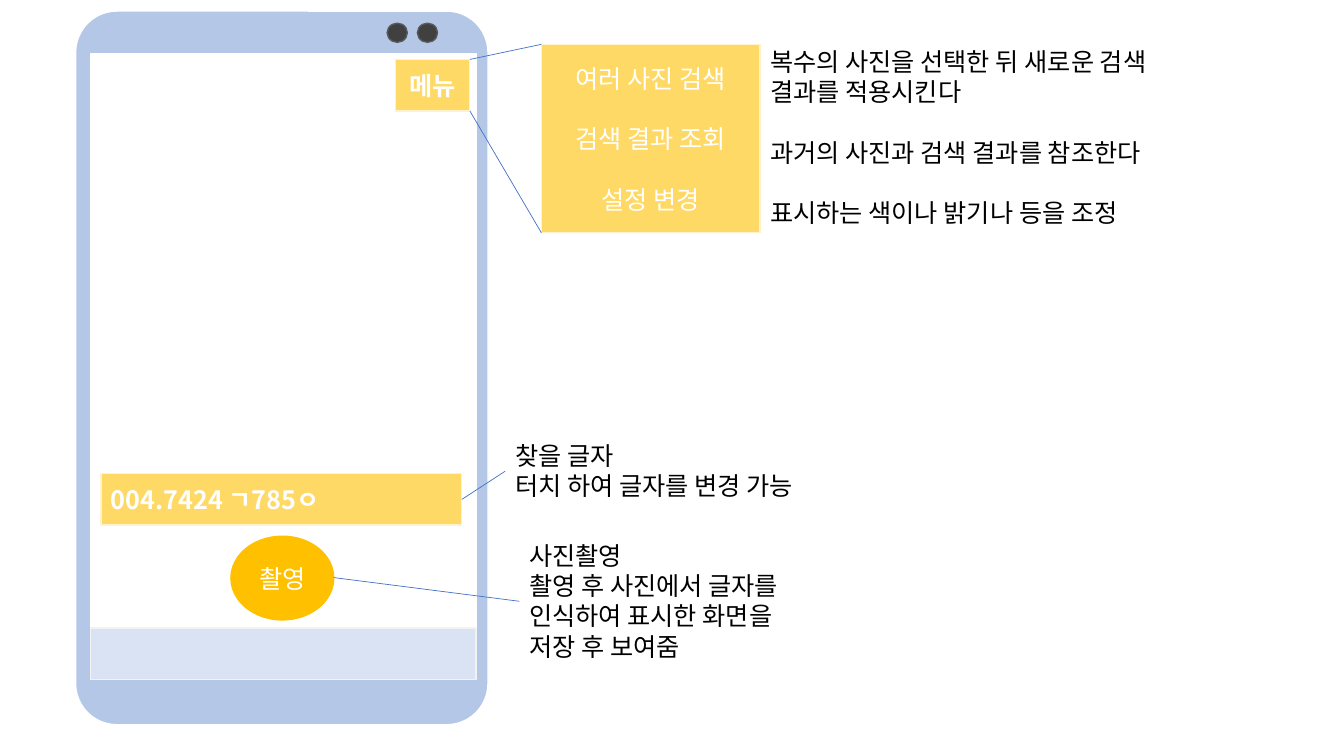
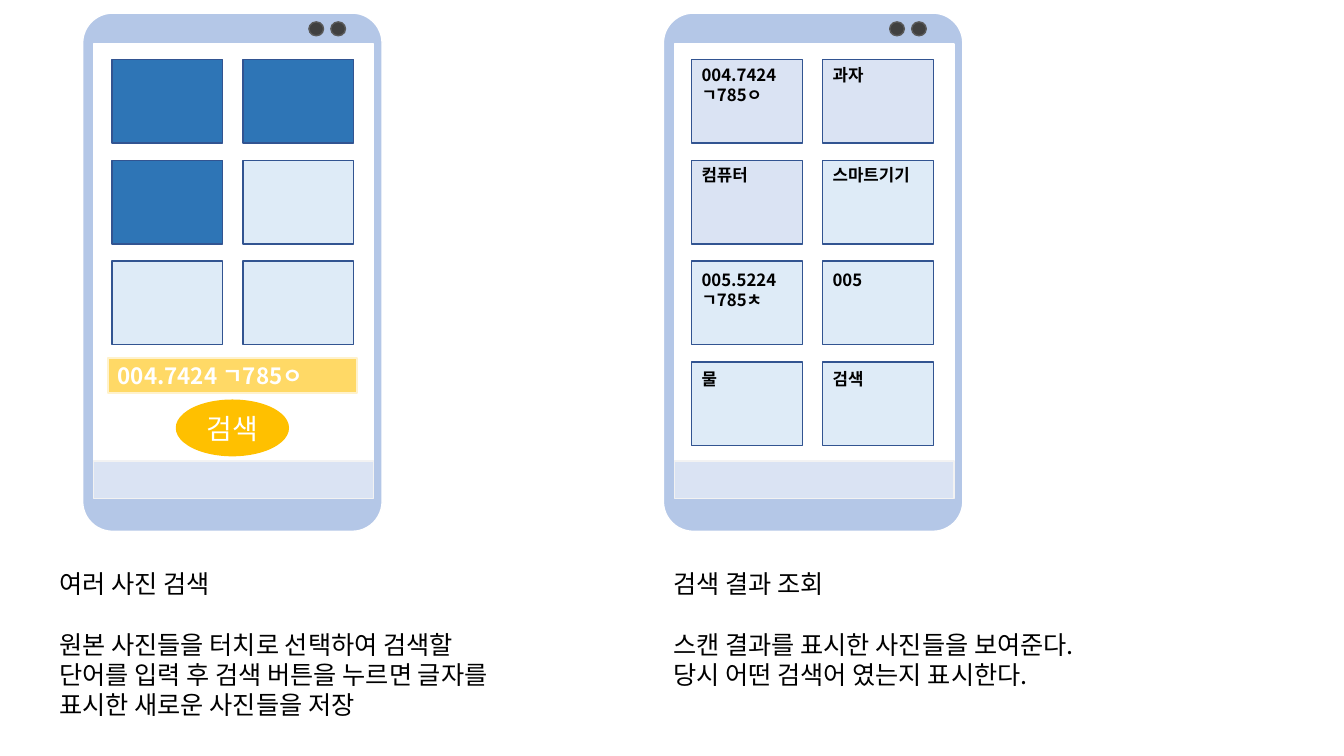
"""Build two slides that explain the screens of a photo search app."""
from dataclasses import dataclass

from lxml.etree import SubElement
from pptx import Presentation
from pptx.dml.color import RGBColor
from pptx.enum.shapes import MSO_CONNECTOR, MSO_SHAPE
from pptx.enum.text import MSO_ANCHOR, MSO_AUTO_SIZE, PP_ALIGN
from pptx.oxml.ns import qn
from pptx.util import Inches, Pt


@dataclass(frozen=True)
class Theme:
    font: str = "Noto Sans CJK KR"
    body: float = 18
    query: float = 16
    button: float = 20
    label: float = 12
    gap: float = 21.6
    rule: float = 0.5
    edge: float = 1
    white: str = "FFFFFF"
    black: str = "000000"
    frame: str = "B4C7E7"
    bar: str = "DAE3F3"
    rim: str = "F2F2F2"
    lens: str = "404040"
    ring: str = "595959"
    gold: str = "FFD966"
    cream: str = "FFF2CC"
    amber: str = "FFC000"
    wire: str = "4472C4"
    blue: str = "2E75B6"
    pale: str = "DEEBF7"
    navy: str = "325491"


class Deck:
    def __init__(self, theme):
        self.theme = theme
        self.show = Presentation()
        self.show.slide_width = Inches(13.33)
        self.show.slide_height = Inches(7.5)
        self.slide = None

    def page(self):
        self.slide = self.show.slides.add_slide(self.show.slide_layouts[6])

    def letter(self, shape, text, size, color, bold=False, align=PP_ALIGN.LEFT, gaps=()):
        frame = shape.text_frame
        frame.word_wrap = True
        frame.text = text
        for index, para in enumerate(frame.paragraphs):
            para.alignment = align
            if index in gaps:
                para.space_before = Pt(self.theme.gap)
            for run in para.runs:
                font = run.font
                font.name = self.theme.font
                font.size = Pt(size)
                font.bold = bold
                font.color.rgb = RGBColor.from_string(color)
                east = SubElement(run._r.get_or_add_rPr(), qn("a:ea"))
                east.set("typeface", self.theme.font)

    def shape(self, kind, box, fill, line):
        shape = self.slide.shapes.add_shape(kind, *map(Inches, box))
        shape.shadow.inherit = False
        shape.fill.solid()
        shape.fill.fore_color.rgb = RGBColor.from_string(fill)
        shape.line.color.rgb = RGBColor.from_string(line)
        shape.line.width = Pt(self.theme.edge)
        shape.text_frame.vertical_anchor = MSO_ANCHOR.MIDDLE
        return shape

    def rect(self, box, fill, line):
        return self.shape(MSO_SHAPE.RECTANGLE, box, fill, line)

    def panel(self, box, text, size, **style):
        panel = self.rect(box, self.theme.gold, self.theme.cream)
        self.letter(panel, text, size, self.theme.white, **style)
        return panel

    def button(self, box, text, size):
        oval = self.shape(MSO_SHAPE.OVAL, box, self.theme.amber, self.theme.amber)
        self.letter(oval, text, size, self.theme.white, align=PP_ALIGN.CENTER)

    def note(self, box, text, size=None, bold=False, gaps=()):
        note = self.slide.shapes.add_textbox(*map(Inches, box))
        self.letter(note, text, size or self.theme.body, self.theme.black, bold, gaps=gaps)
        note.text_frame.auto_size = MSO_AUTO_SIZE.SHAPE_TO_FIT_TEXT
        return note

    def wire(self, start, end, source=None, target=None):
        wire = self.slide.shapes.add_connector(
            MSO_CONNECTOR.STRAIGHT, *map(Inches, (*start, *end)))
        wire.line.color.rgb = RGBColor.from_string(self.theme.wire)
        wire.line.width = Pt(self.theme.rule)
        SubElement(wire._element.spPr, qn("a:effectLst"))
        if source is not None:
            wire.begin_connect(source, 3)
        if target is not None:
            wire.end_connect(target, 1)

    def phone(self, left, top, width):
        theme, scale = self.theme, width / 4.09

        def place(x, y, w, h):
            return left + x * scale, top + y * scale, w * scale, h * scale

        body = self.shape(MSO_SHAPE.ROUNDED_RECTANGLE, place(0, 0, 4.09, 7.08),
                          theme.frame, theme.white)
        body.adjustments[0] = 0.1
        self.rect(place(0.15, 0.42, 3.82, 6.05), theme.white, theme.white)
        for x in (3.09, 3.39):
            self.shape(MSO_SHAPE.OVAL, place(x, 0.12, 0.2, 0.19), theme.lens, theme.ring)
        self.rect(place(0.15, 6.12, 3.82, 0.51), theme.bar, theme.rim)

    def tiles(self, left, fills):
        spots = []
        for index, fill in enumerate(fills):
            row, col = divmod(index, 2)
            spot = left + 1.3 * col, 0.59 + row
            self.rect((*spot, 1.1, 0.83), fill, self.theme.navy)
            spots.append(spot)
        return spots


CODE = "004.7424 ㄱ785ㅇ"


def camera(deck):
    size = deck.theme.body
    deck.page()
    deck.phone(0.75, 0.11, 4.09)

    deck.button((2.29, 5.32, 1.02, 0.83), "촬영", size)
    shoot = deck.note((5.15, 5.31, 3.11, 1.31),
                      "사진촬영\n촬영 후 사진에서 글자를 인식하여 표시한 화면을 저장 후 보여줌")
    deck.wire((3.31, 5.73), (5.15, 5.97), target=shoot)

    field = deck.panel((1, 4.7, 3.58, 0.51), CODE, size, bold=True)
    query = deck.note((5.01, 4.32, 3.39, 0.71), "찾을 글자\n터치 하여 글자를 변경 가능")
    deck.wire((4.58, 4.95), (5.01, 4.67), field, query)

    deck.panel((3.92, 0.59, 0.74, 0.51), "메뉴", size, bold=True, align=PP_ALIGN.CENTER)
    deck.panel((5.37, 0.44, 2.17, 1.87), "여러 사진 검색\n검색 결과 조회\n설정 변경", size,
               align=PP_ALIGN.CENTER, gaps=(1, 2))
    for start, end in ((0.59, 0.44), (1.1, 2.31)):
        deck.wire((4.66, start), (5.37, end))
    deck.note((7.54, 0.41, 4.52, 1.92),
              "복수의 사진을 선택한 뒤 새로운 검색 결과를 적용시킨다\n"
              "과거의 사진과 검색 결과를 참조한다\n표시하는 색이나 밝기나 등을 조정",
              gaps=(1, 2))


def search(deck):
    theme = deck.theme
    deck.page()
    deck.phone(0.82, 0.13, 2.97)
    deck.tiles(1.11, [theme.blue] * 3 + [theme.pale] * 3)
    deck.panel((1.07, 3.55, 2.47, 0.35), CODE, theme.query, bold=True)
    deck.button((1.75, 3.97, 1.11, 0.55), "검색", theme.button)
    deck.note((0.49, 5.59, 4.75, 1.62),
              "여러 사진 검색\n원본 사진들을 터치로 선택하여 검색할 단어를 입력 후 "
              "검색 버튼을 누르면 글자를 표시한 새로운 사진들을 저장", gaps=(1,))

    deck.phone(6.58, 0.13, 2.97)
    spots = deck.tiles(6.86, [theme.bar] * 3 + [theme.pale] * 5)
    labels = (CODE, "과자", "컴퓨터", "스마트기기", "005.5224 ㄱ785ㅊ", "005", "물", "검색")
    drops = (0, 0, 0.04, 0.02)
    for index, ((left, top), label) in enumerate(zip(spots, labels)):
        deck.note((left, top + drops[index // 2], 1.1, 0.3), label, theme.label, True)
    deck.note((6.58, 5.59, 4.75, 1.31),
              "검색 결과 조회\n스캔 결과를 표시한 사진들을 보여준다.\n"
              "당시 어떤 검색어 였는지 표시한다.", gaps=(1,))


def main():
    deck = Deck(Theme())
    camera(deck)
    search(deck)
    deck.show.save("out.pptx")


if __name__ == "__main__":
    main()
